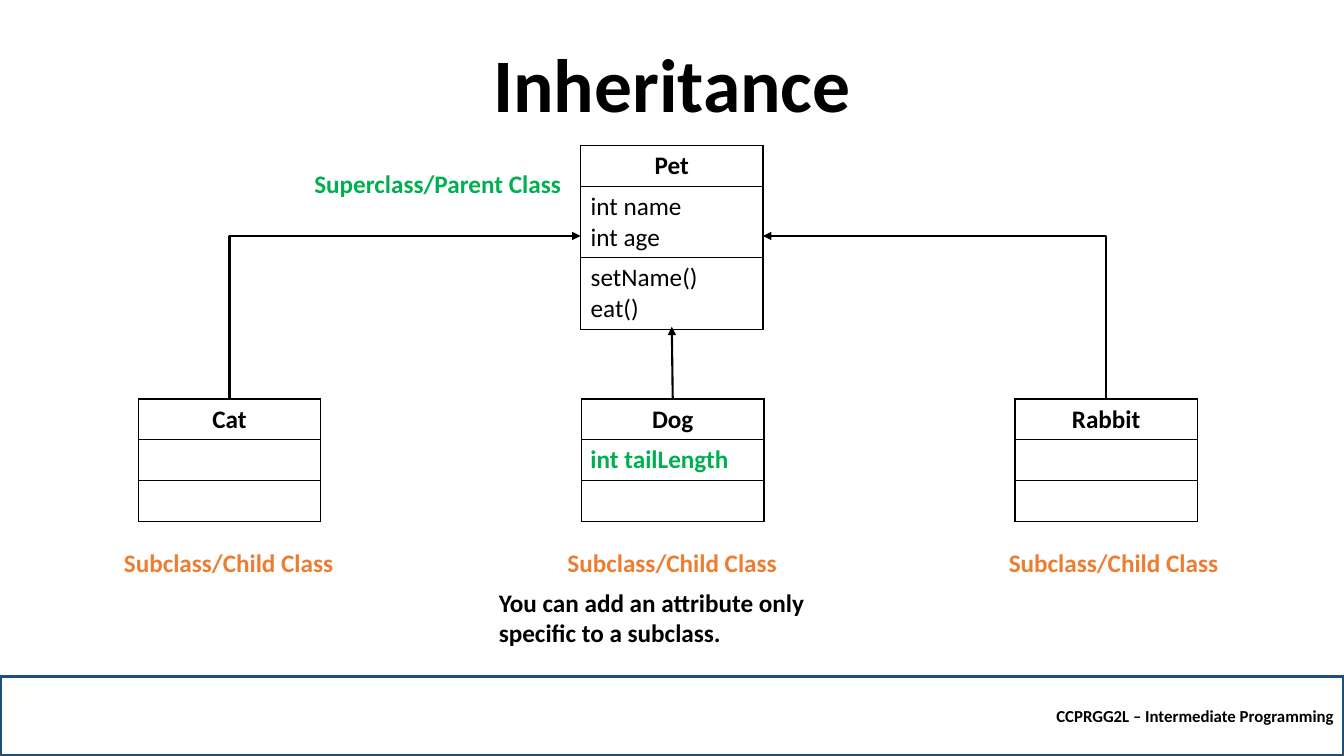
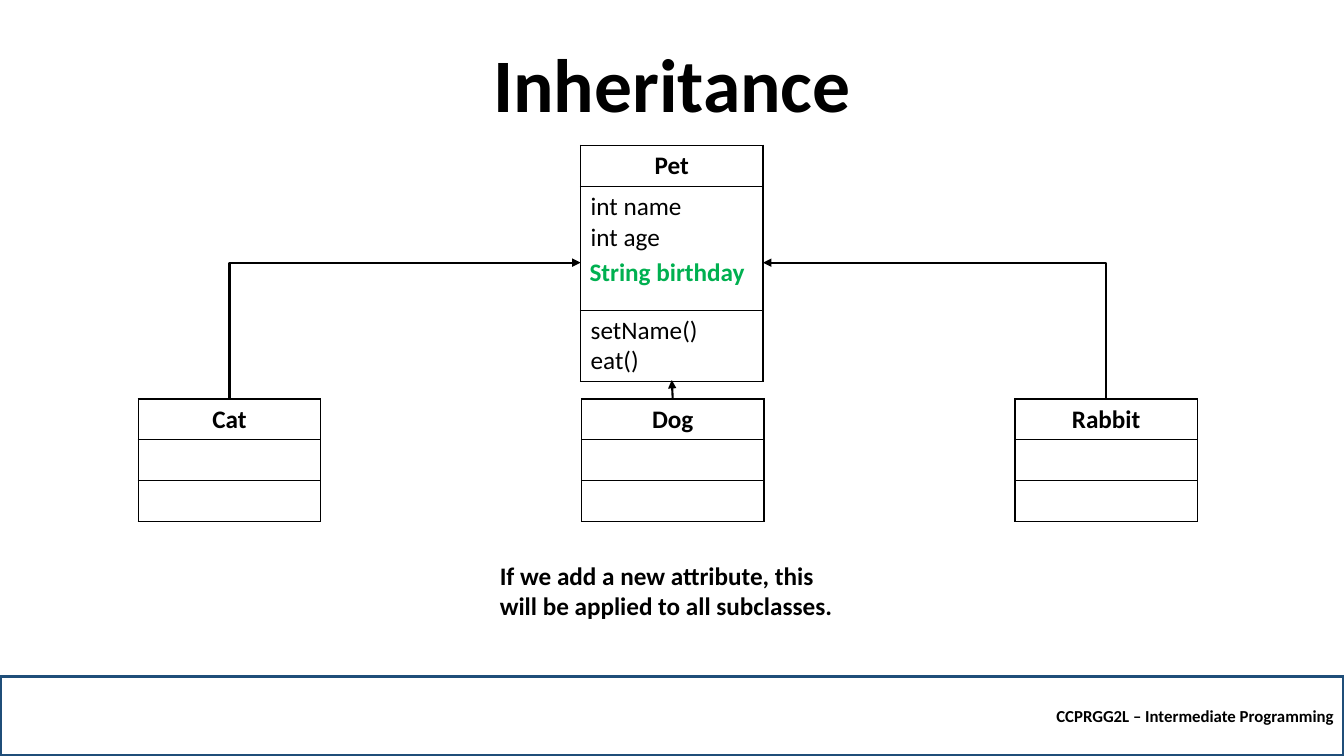
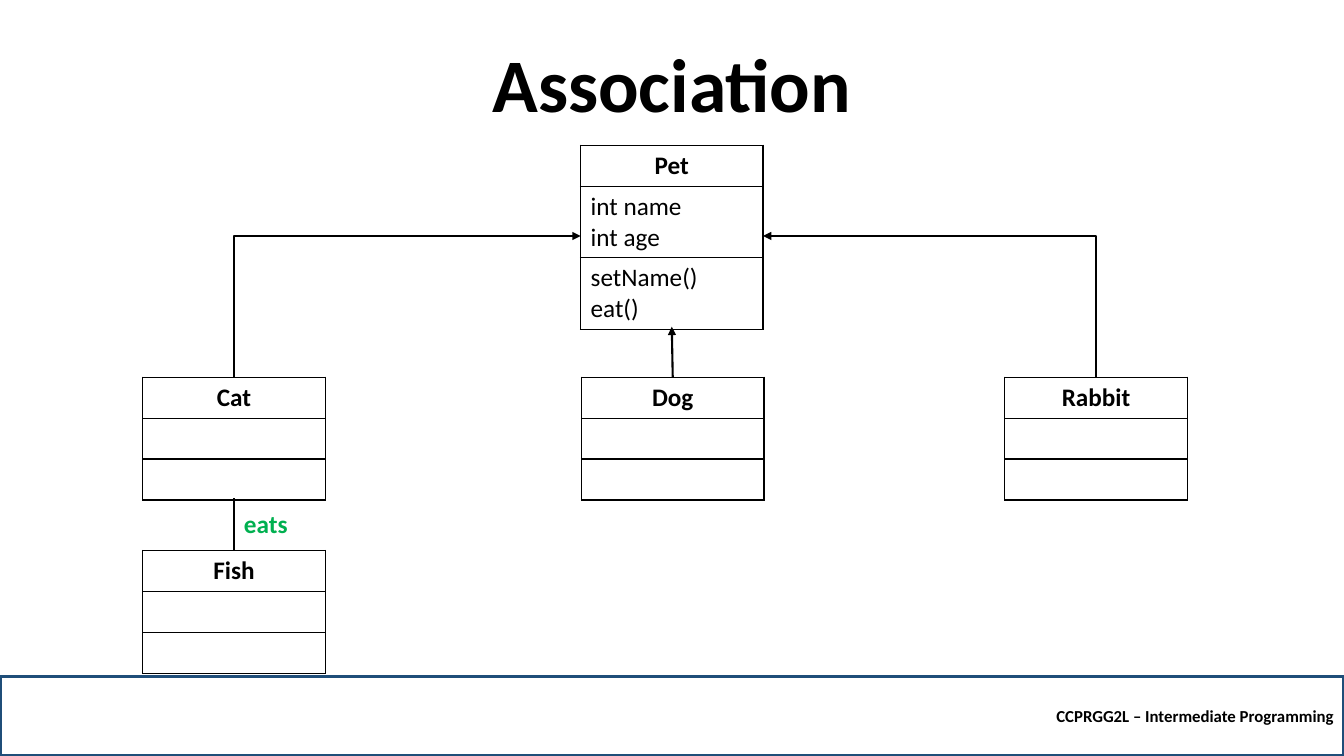
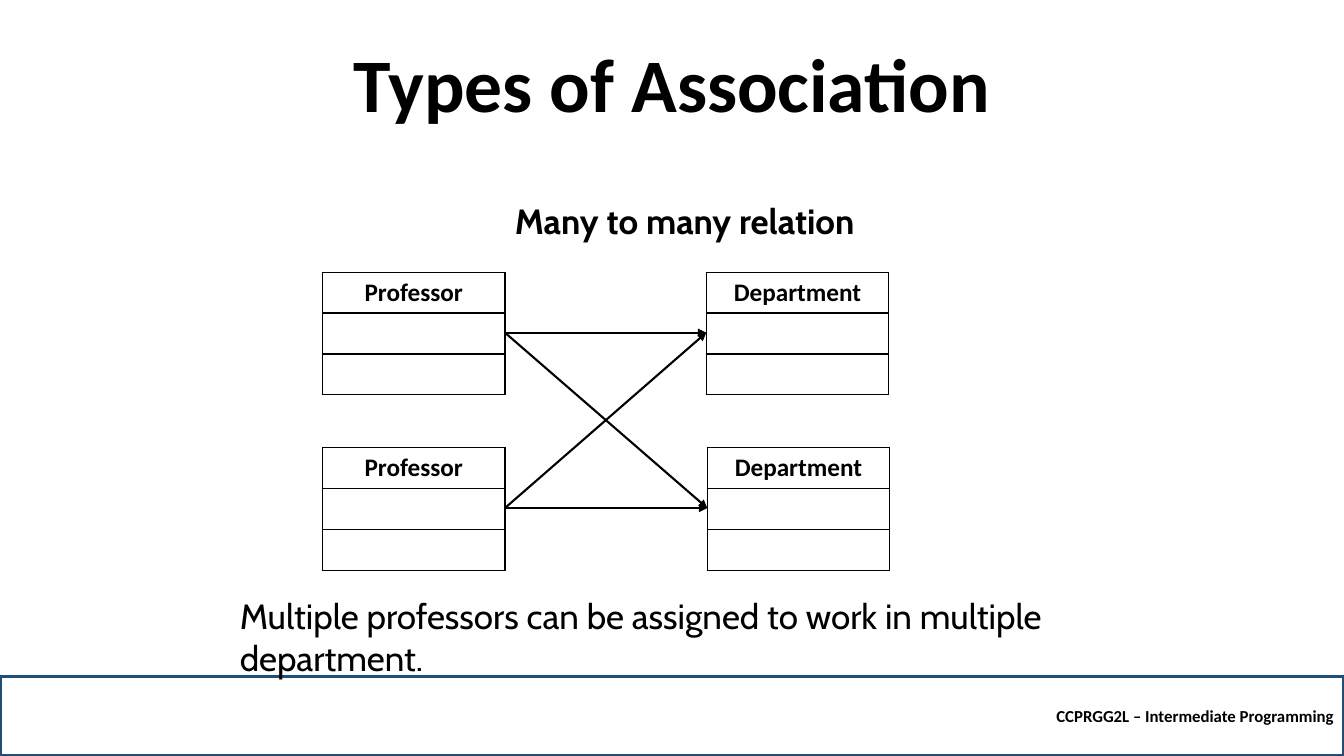
from dataclasses import dataclass

from lxml import etree
from pptx import Presentation
from pptx import util as u
from pptx.dml.color import RGBColor
from pptx.enum import shapes, text
from pptx.oxml.ns import qn


@dataclass(frozen=True)
class Theme:
    ink: str = "000000"
    green: str = "00B050"
    orange: str = "ED7D31"
    navy: str = "1F4E79"
    font: str = "Calibri"
    accent_font: str = "Cabin"
    title_size: float = 54
    heading_size: float = 25
    body_size: float = 18
    footer_size: float = 12
    border: float = 1
    arrow: float = 1.5
    band: float = 2.25
    box_width: float = 130.3
    row: float = 28.8
    double_row: float = 50.4


class Deck:
    footer = "CCPRGG2L – Intermediate Programming"

    def __init__(self, theme):
        self.theme = theme
        self.presentation = Presentation()
        self.presentation.slide_width = u.Pt(960)
        self.presentation.slide_height = u.Pt(540)
        self.slide = None

    def add_lines(self, frame, lines, size=None, color=None, bold=True, font=None, align=None):
        for index, line in enumerate(lines):
            paragraph = frame.add_paragraph() if index else frame.paragraphs[0]
            paragraph.alignment = align or text.PP_ALIGN.LEFT
            run = paragraph.add_run()
            run.text = line
            run.font.name = font or self.theme.font
            run.font.size = u.Pt(size or self.theme.body_size)
            run.font.bold = bold
            run.font.color.rgb = RGBColor.from_string(color or self.theme.ink)

    def start(self, title):
        self.slide = self.presentation.slides.add_slide(self.presentation.slide_layouts[0])
        subtitle = self.slide.placeholders[1].element
        subtitle.getparent().remove(subtitle)
        heading = self.slide.shapes.title
        heading.left, heading.top = u.Pt(120), u.Pt(38.9)
        heading.width, heading.height = u.Pt(720), u.Pt(56.9)
        frame = heading.text_frame
        frame.auto_size = text.MSO_AUTO_SIZE.NONE
        frame.vertical_anchor = text.MSO_ANCHOR.BOTTOM
        self.add_lines(frame, [title], self.theme.title_size, align=text.PP_ALIGN.CENTER)
        frame.paragraphs[0].line_spacing = 0.9
        self.band()

    def band(self):
        shape = self.slide.shapes.add_shape(
            shapes.MSO_SHAPE.RECTANGLE, 0, u.Pt(483.1), u.Pt(960), u.Pt(56.9))
        shape.shadow.inherit = False
        shape.fill.background()
        shape.line.color.rgb = RGBColor.from_string(self.theme.navy)
        shape.line.width = u.Pt(self.theme.band)
        shape.text_frame.vertical_anchor = text.MSO_ANCHOR.MIDDLE
        self.add_lines(shape.text_frame, [self.footer], self.theme.footer_size,
                       align=text.PP_ALIGN.RIGHT)

    def class_box(self, name, left, top, attributes=(), methods=(), heights=None):
        heights = heights or [self.theme.row] * 3
        frame = self.slide.shapes.add_table(
            3, 1, u.Pt(left), u.Pt(top), u.Pt(self.theme.box_width), u.Pt(sum(heights)))
        table = frame.table
        table.first_row = table.horz_banding = False
        for index, lines in enumerate(([name], attributes, methods)):
            table.rows[index].height = u.Pt(heights[index])
            cell = table.cell(index, 0)
            self.outline(cell)
            cell.fill.background()
            header = index == 0
            self.add_lines(cell.text_frame, lines, bold=header,
                           align=text.PP_ALIGN.CENTER if header else None)
        return frame

    def outline(self, cell):
        properties = cell._tc.get_or_add_tcPr()
        for side in ("a:lnL", "a:lnR", "a:lnT", "a:lnB"):
            line = etree.SubElement(properties, qn(side), w=str(u.Pt(self.theme.border)))
            fill = etree.SubElement(line, qn("a:solidFill"))
            etree.SubElement(fill, qn("a:srgbClr"), val=self.theme.ink)

    def label(self, words, left, top, width, height=28.8, wrap=False, **style):
        box = self.slide.shapes.add_textbox(u.Pt(left), u.Pt(top), u.Pt(width), u.Pt(height))
        box.text_frame.word_wrap = wrap
        box.text_frame.auto_size = text.MSO_AUTO_SIZE.SHAPE_TO_FIT_TEXT
        self.add_lines(box.text_frame, [words], **style)

    def connect(self, start, end, kind=shapes.MSO_CONNECTOR.STRAIGHT, arrow=True):
        connector = self.slide.shapes.add_connector(kind, *start, *end)
        connector.line.color.rgb = RGBColor.from_string(self.theme.ink)
        connector.line.width = u.Pt(self.theme.arrow)
        if arrow:
            etree.SubElement(connector.line._get_or_add_ln(), qn("a:tailEnd"), type="triangle")
        etree.SubElement(connector._element.spPr, qn("a:effectLst"))
        return connector

    def corner(self, start, end):
        rise, run = start[1] - end[1], abs(end[0] - start[0])
        left = (start[0] + end[0] - rise) // 2
        top = (start[1] + end[1] - run) // 2
        connector = self.connect((left, top), (left + rise, top + run),
                                 shapes.MSO_CONNECTOR.ELBOW)
        properties = connector._element.spPr
        properties.find(qn("a:prstGeom")).set("prst", "bentConnector2")
        transform = properties.find(qn("a:xfrm"))
        rightward = end[0] > start[0]
        transform.set("rot", str((90 if rightward else 270) * 60000))
        transform.set("flipV", "1")
        if rightward:
            transform.set("flipH", "1")

    def pet_family(self, child_lefts, child_top, attribute_height=None):
        theme = self.theme
        heights = [theme.row, attribute_height or theme.double_row, theme.double_row]
        pet = self.class_box("Pet", 414.7, 103.8, ["int name", "int age"],
                             ["setName()", "eat()"], heights)
        cat, dog, rabbit = [self.class_box(name, left, child_top)
                            for name, left in zip(("Cat", "Dog", "Rabbit"), child_lefts)]
        self.corner(middle(cat, "top"), middle(pet, "left"))
        self.connect(middle(dog, "top"), middle(pet, "bottom"))
        self.corner(middle(rabbit, "top"), middle(pet, "right"))
        return cat


def middle(frame, side):
    across, down = {"top": (1, 0), "left": (0, 1), "bottom": (1, 2), "right": (2, 1)}[side]
    return frame.left + frame.width * across // 2, frame.top + frame.height * down // 2


def subclass_attribute(deck, child_lefts):
    theme = deck.theme
    deck.start("Inheritance")
    deck.pet_family(child_lefts, 285)
    for left in (81.4, 398.2, 713.5):
        deck.label("Subclass/Child Class", left, 387.4, 165, color=theme.orange)
    deck.label("Superclass/Parent Class", 217.4, 116.8, 192, color=theme.green)
    deck.label("int tailLength", 414.7, 313.3, 114, color=theme.green)
    deck.label("You can add an attribute only specific to a subclass.",
               349.2, 416, 260.6, 51, wrap=True)


def parent_attribute(deck, child_lefts):
    deck.start("Inheritance")
    deck.pet_family(child_lefts, 285, attribute_height=88.5)
    deck.label("String birthday", 414, 179.5, 126, color=deck.theme.green)
    deck.label("If we add a new attribute, this will be applied to all subclasses.",
               349.9, 396.7, 260.6, 51, wrap=True)


def association(deck):
    deck.start("Association")
    cat = deck.pet_family((102, 415.4, 717.8), 269.5)
    fish = deck.class_box("Fish", 102, 393.2)
    deck.connect(middle(cat, "bottom"), middle(fish, "top"), arrow=False)
    deck.label("eats", 167.2, 359.5, 46, color=deck.theme.green)


def many_to_many(deck):
    heading = {"size": deck.theme.heading_size, "font": deck.theme.accent_font}
    deck.start("Types of Association")
    tops = (194.4, 319.7)
    professors = [deck.class_box("Professor", 230.4, top) for top in tops]
    departments = [deck.class_box("Department", left, top)
                   for left, top in zip((504.5, 505.2), tops)]
    deck.label("Many to many relation", 360.7, 139, 261.4, 37.4, wrap=True, **heading)
    deck.label("Multiple professors can be assigned to work in multiple department.",
               164.2, 421.2, 715, 37.4, wrap=True, bold=False, **heading)
    for professor in professors:
        for department in departments:
            deck.connect(middle(professor, "right"), middle(department, "left"))


def main():
    deck = Deck(Theme())
    child_lefts = (98.8, 415.4, 725)
    subclass_attribute(deck, child_lefts)
    parent_attribute(deck, child_lefts)
    association(deck)
    many_to_many(deck)
    deck.presentation.save("out.pptx")


if __name__ == "__main__":
    main()
